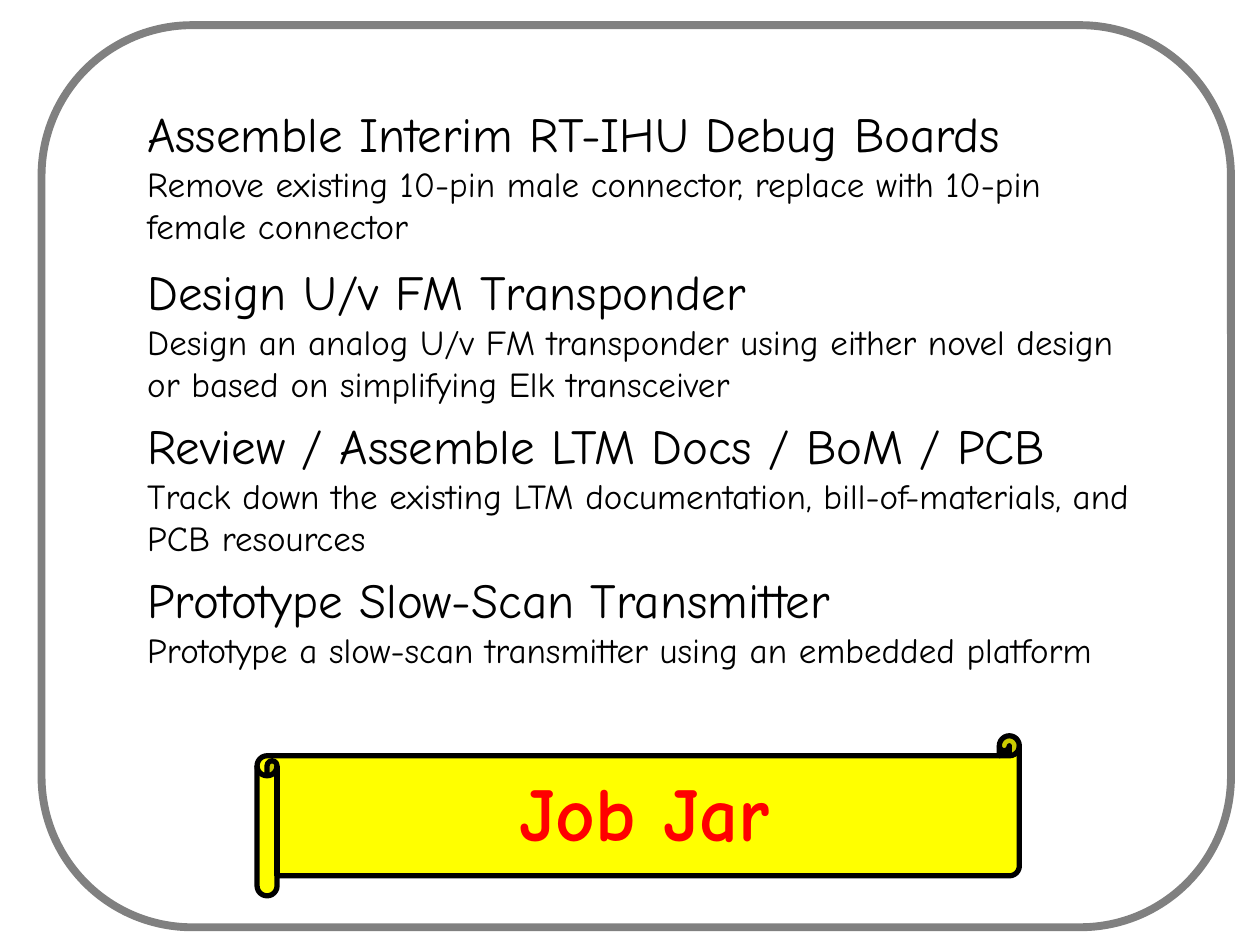
from pptx import Presentation
from pptx.dml.color import RGBColor
from pptx.enum.shapes import MSO_SHAPE
from pptx.enum.text import PP_ALIGN
from pptx.util import Inches, Pt

# Content: top in inches, heading, description
JOBS = [
    (0.77, "Assemble Interim RT-IHU Debug Boards",
     "Remove existing 10-pin male connector, replace with 10-pin female connector"),
    (2.03, "Design U/v FM Transponder",
     "Design an analog U/v FM transponder using either novel design "
     "or based on simplifying Elk transceiver"),
    (3.25, "Review / Assemble LTM Docs / BoM / PCB",
     "Track down the existing LTM documentation, bill-of-materials, and PCB resources"),
    (4.47, "Prototype Slow-Scan Transmitter",
     "Prototype a slow-scan transmitter using an embedded platform"),
]
TITLE = "Job Jar"

FONT = "Comic Neue"
BLACK = RGBColor(0x00, 0x00, 0x00)
RED = RGBColor(0xFF, 0x00, 0x00)
YELLOW = RGBColor(0xFF, 0xFF, 0x00)
GRAY = RGBColor(0x80, 0x80, 0x80)


def add_outline(shapes, kind, bounds, adjustment, color, width, fill=None):
    shape = shapes.add_shape(kind, *map(Inches, bounds))
    shape.shadow.inherit = False
    shape.adjustments[0] = adjustment
    shape.line.color.rgb = color
    shape.line.width = Pt(width)
    if fill is None:
        shape.fill.background()
    else:
        shape.fill.solid()
        shape.fill.fore_color.rgb = fill


def add_text(shapes, bounds, lines, color=BLACK, bold=False, align=PP_ALIGN.LEFT):
    box = shapes.add_textbox(*map(Inches, bounds))
    frame = box.text_frame
    frame.word_wrap = True
    frame.text = "\n".join(text for text, size in lines)
    for paragraph, (text, size) in zip(frame.paragraphs, lines):
        paragraph.alignment = align
        paragraph.font.name = FONT
        paragraph.font.size = Pt(size)
        paragraph.font.bold = bold
        paragraph.font.color.rgb = color


deck = Presentation()
deck.slide_width, deck.slide_height = Inches(10), Inches(7.5)
page = deck.slides.add_slide(deck.slide_layouts[6])

# Title banner
banner = page.shapes.add_group_shape()
add_outline(banner.shapes, MSO_SHAPE.HORIZONTAL_SCROLL, (2.04, 5.84, 6.05, 1.27),
            0.125, BLACK, 3, YELLOW)
add_text(banner.shapes, (1.74, 6.02, 6.75, 0.83), [(TITLE, 44)],
         RED, True, PP_ALIGN.CENTER)

# Page frame
add_outline(page.shapes, MSO_SHAPE.ROUNDED_RECTANGLE, (0.33, 0.2, 9.44, 7.16),
            0.167, GRAY, 4.5)

# Job list
for top, heading, description in JOBS:
    add_text(page.shapes, (1.07, top, 8.02, 1.23), [(heading, 28), (description, 20)])

deck.save("out.pptx")
